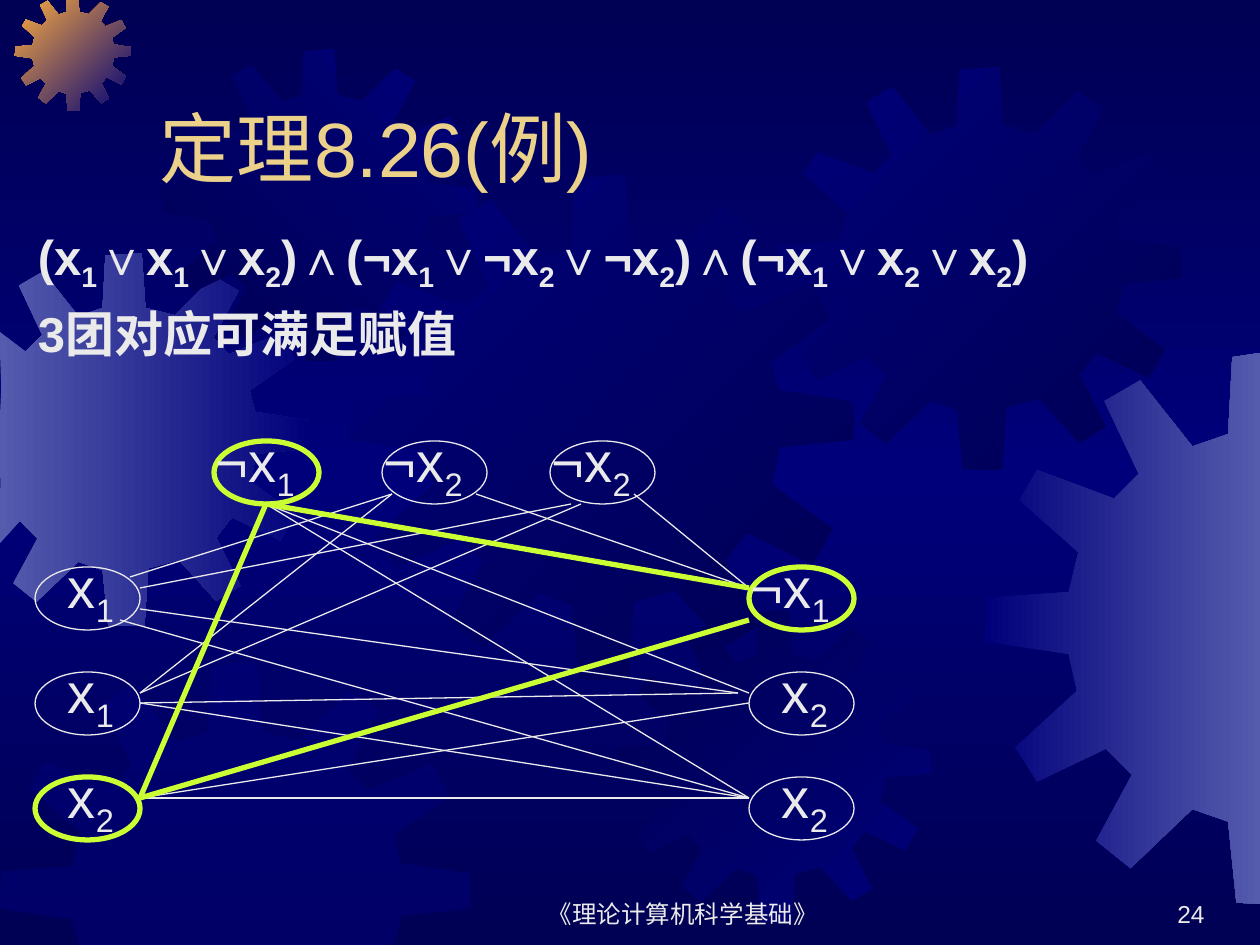
"""Build a slide on 3-cliques and satisfying assignments."""
from copy import deepcopy

from lxml.etree import SubElement
from pptx import Presentation
from pptx.dml.color import RGBColor
from pptx.enum.shapes import MSO_CONNECTOR, MSO_SHAPE
from pptx.enum.text import MSO_ANCHOR, PP_ALIGN
from pptx.oxml.ns import qn
from pptx.util import Pt

PX = 914400 / 126
WIDE, HIGH = 1260, 945
FONT = "Arial"
HUES = {"dark": "000054", "blue": "00007A", "mist": "555BAD", "gold": "FCAB40",
        "title": "EBD189", "text": "EAEAEA", "lime": "CCFF33"}

TEETH = 401
COG = [
    (255, 67), (223, 59), (219, 0), (180, 3), (177, 59), (151, 68), (113, 20), (87, 35),
    (112, 88), (94, 106), (38, 85), (25, 107), (68, 145), (61, 174), (1, 178), (0, 210),
    (61, 219), (67, 246), (22, 287), (38, 312), (88, 288), (107, 307), (81, 355), (106, 375),
    (151, 332), (177, 341), (183, 400), (222, 401), (226, 339), (259, 330), (299, 374),
    (325, 358), (299, 306), (316, 284), (368, 309), (384, 281), (336, 246), (342, 216),
    (401, 210), (400, 180), (341, 171), (335, 148), (383, 114), (367, 87), (313, 109),
    (296, 91), (323, 41), (297, 25)]
GEARS = [
    (-62, 253, 373, "mist", "blue", 0),
    (15, -5, 116, "gold", "blue", 45),
    (164, 49, 312, "dark", "blue", 315),
    (349, 175, 505, "blue", "dark", 45),
    (0, 662, 471, "blue", None, 0),
    (619, 610, 312, "dark", "blue", 45),
    (779, 67, 403, "blue", "dark", 45),
    (985, 353, 551, "blue", "mist", 0)]

ROWS = [567 + 105 * i for i in range(3)]
TOPS = [214 + 168 * i for i in range(3)]
NODES = [
    *zip(TOPS, [441] * 3, ["¬x_1", "¬x_2", "¬x_2"], [True, False, False]),
    *zip([35] * 3, ROWS, ["x_1", "x_1", "x_2"], [False, False, True]),
    *zip([749] * 3, ROWS, ["¬x_1", "x_2", "x_2"], [True, False, False])]
THIN = [
    (130, 577, 392, 494), (140, 588, 571, 504), (140, 609, 738, 693), (120, 620, 749, 798),
    (140, 693, 392, 494), (140, 693, 581, 504), (140, 703, 738, 693), (140, 703, 749, 798),
    (140, 798, 749, 703), (140, 798, 749, 798), (266, 504, 749, 693), (266, 504, 749, 798),
    (476, 494, 749, 588), (634, 494, 749, 588)]
BOLD = [(140, 798, 266, 504), (140, 798, 749, 620), (266, 504, 749, 588)]


def px(num):
    """Turn px into EMU."""
    return round(num * PX)


def hue(name):
    """Look up a colour by name."""
    return RGBColor.from_string(HUES[name])


def blend(fill, first, last, angle):
    """Set a gradient of two stops with a clockwise angle."""
    fill.gradient()
    fill.gradient_angle = -angle % 360
    for stop, name, spot in zip(fill.gradient_stops, (first, last), (0, 1)):
        stop.color.rgb = hue(name)
        stop.position = spot


def paint_back(slide):
    """Fill the background from dark to blue and back to dark."""
    fill = slide.background.fill
    blend(fill, "dark", "blue", 90)
    fill.gradient_stops[1].position = 0.5
    stops = slide.element.find(".//" + qn("a:gsLst"))
    last = deepcopy(stops[0])
    last.set("pos", "100000")
    stops.append(last)


def add_gear(slide, left, top, size, first, last, angle):
    """Draw a gear, cut off at the slide edges."""
    dots = [(px(min(max(left + x * size / TEETH, 0), WIDE)),
             px(min(max(top + y * size / TEETH, 0), HIGH))) for x, y in COG]
    pen = slide.shapes.build_freeform(*dots[0])
    pen.add_line_segments(dots[1:], close=True)
    gear = pen.convert_to_shape()
    gear.shadow.inherit = False
    gear.line.fill.background()
    if last:
        blend(gear.fill, first, last, angle)
    else:
        gear.fill.solid()
        gear.fill.fore_color.rgb = hue(first)
        tone = gear.element.spPr.find(qn("a:solidFill"))[0]
        SubElement(tone, qn("a:alpha")).set("val", "50000")


def add_run(para, text, size, name, bold, sub=False):
    """Add one run, lowered if it is a subscript."""
    run = para.add_run()
    run.text = text
    font = run.font
    font.name, font.size, font.bold = FONT, Pt(size), bold
    font.color.rgb = hue(name)
    if sub:
        run._r.get_or_add_rPr().set("baseline", "-25000")


def add_text(slide, box, lines, size, name="text", bold=False, align=PP_ALIGN.LEFT,
             anchor=MSO_ANCHOR.TOP, gap=0, inset=13):
    """Add a text box; an underscore lowers the next letter."""
    frame = slide.shapes.add_textbox(*map(px, box)).text_frame
    frame.word_wrap = True
    frame.vertical_anchor = anchor
    frame.margin_left = px(inset)
    for i, line in enumerate(lines):
        para = frame.add_paragraph() if i else frame.paragraphs[0]
        para.alignment = align
        para.space_before = Pt(gap)
        head, *rest = line.split("_")
        if head:
            add_run(para, head, size, name, bold)
        for part in rest:
            add_run(para, part[0], size, name, bold, True)
            if part[1:]:
                add_run(para, part[1:], size, name, bold)


def set_line(line, strong):
    """Style a line as part of the clique or not."""
    line.color.rgb = hue("lime" if strong else "text")
    line.width = Pt(3 if strong else 0.75)


def add_node(slide, left, top, label, strong):
    """Draw an oval with its literal."""
    oval = slide.shapes.add_shape(MSO_SHAPE.OVAL, px(left), px(top), px(105), px(63))
    oval.shadow.inherit = False
    oval.fill.background()
    set_line(oval.line, strong)
    inset = 13 if label.startswith("¬") else 44
    add_text(slide, (left - 11, top - 21, 116, 79), [label], 32, inset=inset)


def add_edge(slide, ends, strong):
    """Draw a straight edge."""
    edge = slide.shapes.add_connector(MSO_CONNECTOR.STRAIGHT, *map(px, ends))
    set_line(edge.line, strong)
    SubElement(edge.element.spPr, qn("a:effectLst"))


def main():
    """Build and save the slide."""
    deck = Presentation()
    deck.slide_width, deck.slide_height = px(WIDE), px(HIGH)
    slide = deck.slides.add_slide(deck.slide_layouts[6])
    paint_back(slide)
    for gear in GEARS:
        add_gear(slide, *gear)
    low = MSO_ANCHOR.BOTTOM
    add_text(slide, (483, 872, 399, 63), ["《理论计算机科学基础》"], 14,
             align=PP_ALIGN.CENTER, anchor=low)
    add_text(slide, (955, 872, 262, 63), ["24"], 14, align=PP_ALIGN.RIGHT, anchor=low)
    add_text(slide, (147, 42, 1071, 157), ["定理8.26(例)"], 44, "title", anchor=low)
    add_text(slide, (25, 220, 1134, 185),
             ["(x_1∨x_1∨x_2)∧(¬x_1∨¬x_2∨¬x_2)∧(¬x_1∨x_2∨x_2)", "3团对应可满足赋值"],
             28, bold=True, gap=6)
    for node in NODES:
        add_node(slide, *node)
    for strong, edges in ((False, THIN), (True, BOLD)):
        for ends in edges:
            add_edge(slide, ends, strong)
    deck.save("out.pptx")


if __name__ == "__main__":
    main()
